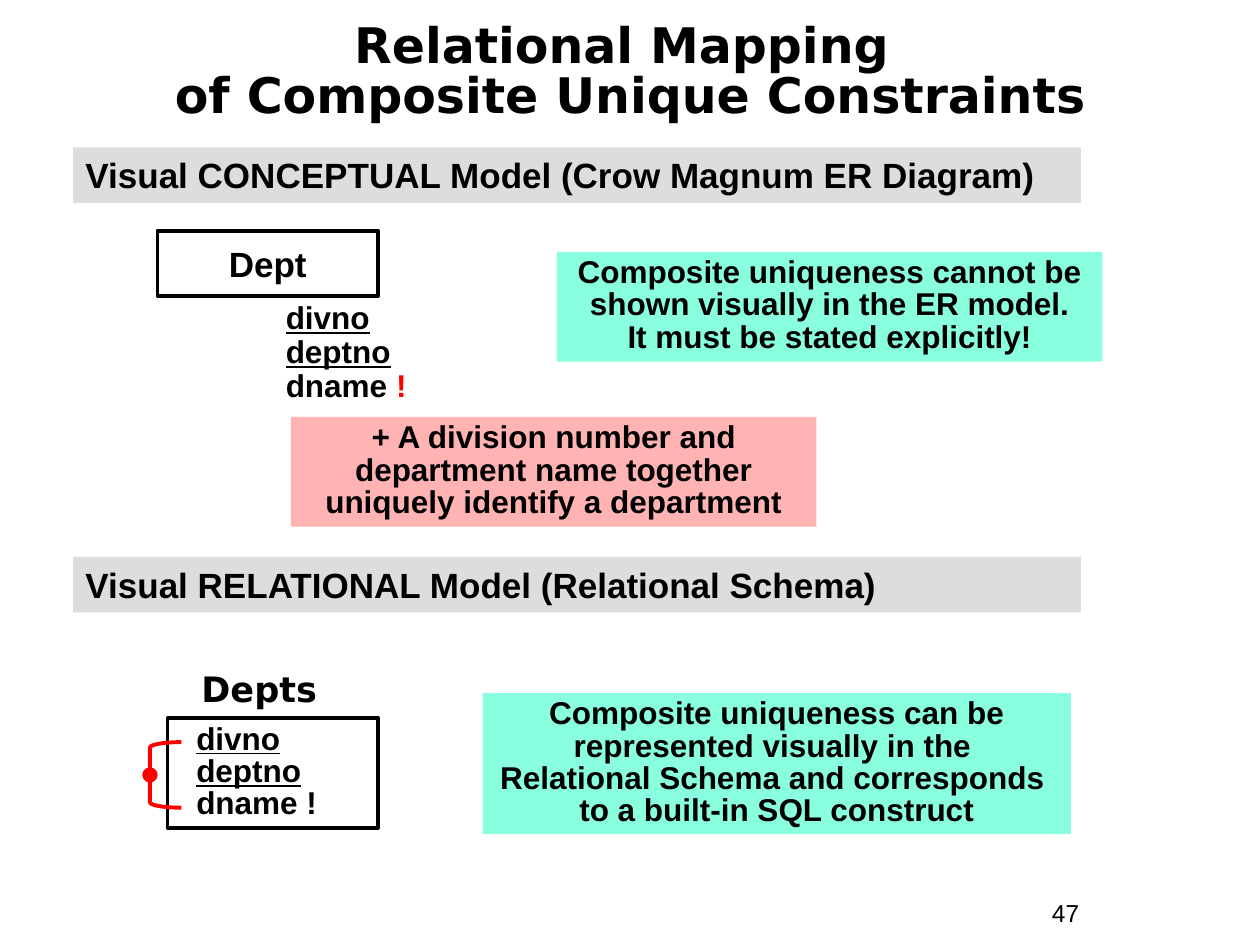
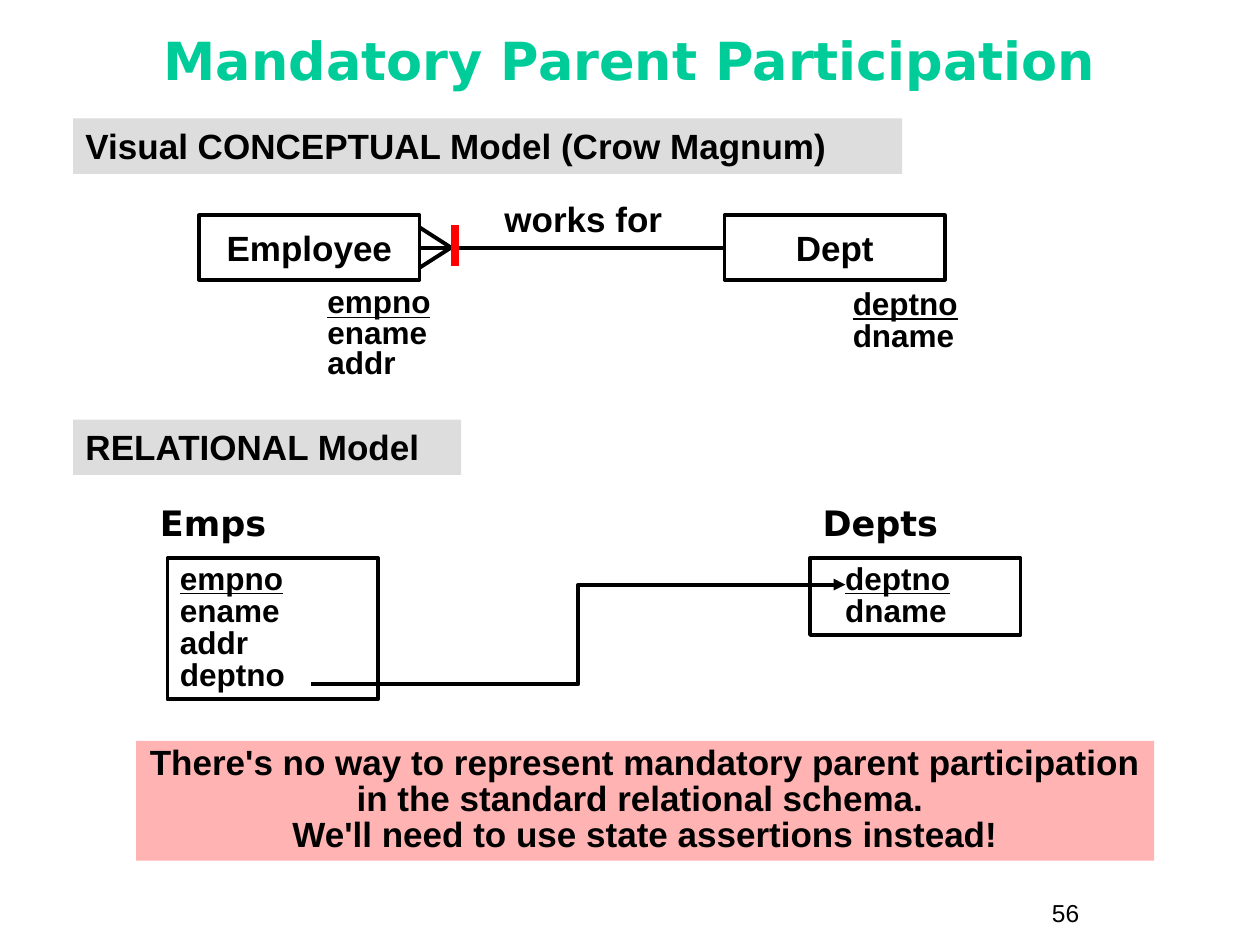
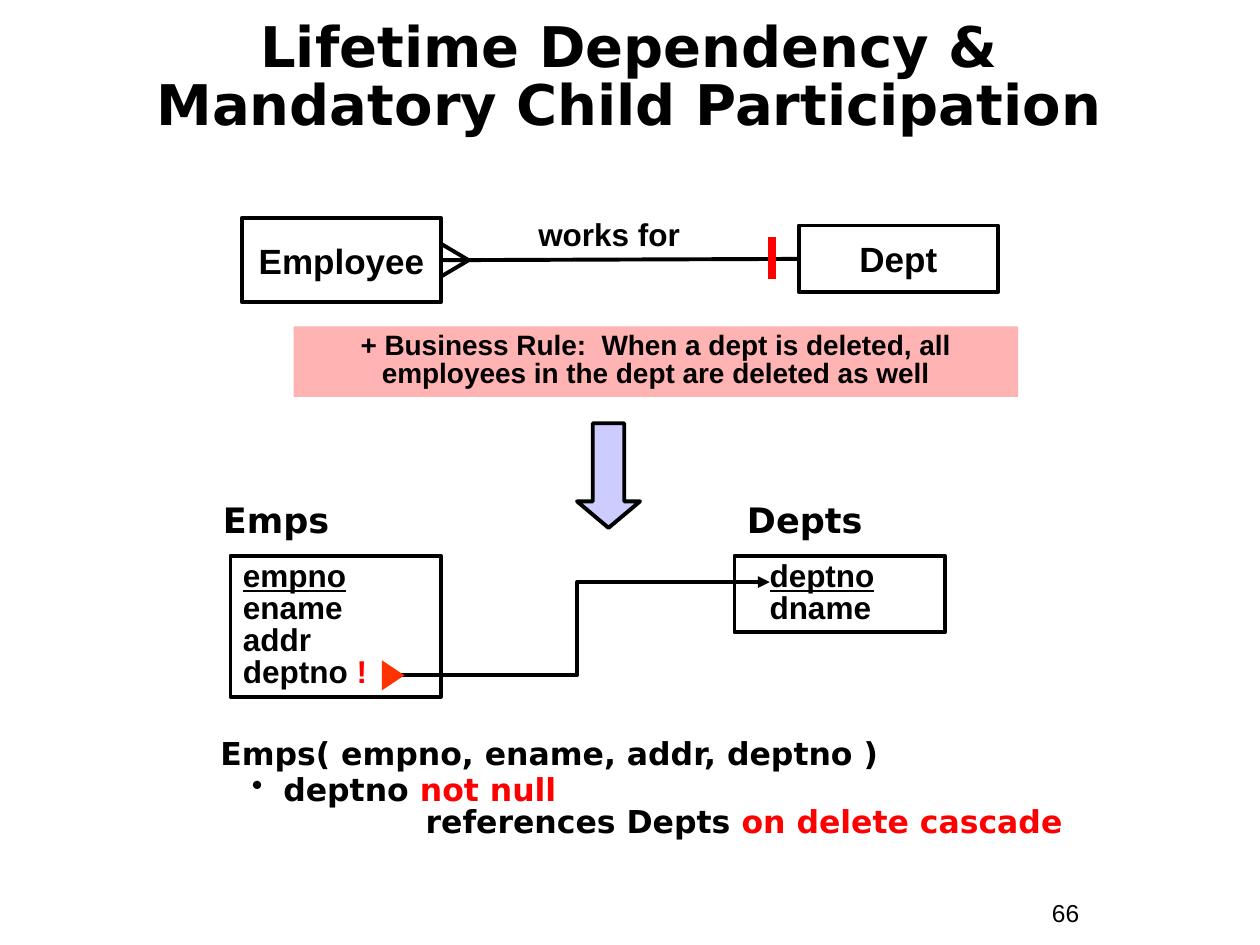
from lxml import etree
from pptx import Presentation
from pptx.dml.color import RGBColor
from pptx.enum.shapes import MSO_CONNECTOR as CONN, MSO_SHAPE as SHAPE
from pptx.enum.text import MSO_ANCHOR as ANCHOR, PP_ALIGN as ALIGN
from pptx.oxml.ns import qn
from pptx.util import Inches, Pt

BLACK, RED, GREEN = "000000", "FF0000", "00CC99"
GRAY, PINK, MINT = "DDDDDD", "FFB3B3", "89FFE0"
LILAC, ORANGE = "CCCCFF", "FF3300"
BODY, HEAD = "Arial", "DejaVu Sans"
LINE = 2.25
TABLE_W = 1.67


def rgb(hex_color):
    """Turn a hex string into a colour."""
    return RGBColor.from_string(hex_color)


def shape(s, box, kind=SHAPE.RECTANGLE, fill=None, line=None):
    """Add a preset shape without shadow, filled and outlined as asked."""
    sp = s.shapes.add_shape(kind, *map(Inches, box))
    sp.shadow.inherit = False
    if fill:
        sp.fill.solid()
        sp.fill.fore_color.rgb = rgb(fill)
    else:
        sp.fill.background()
    if line:
        sp.line.color.rgb = rgb(line)
        sp.line.width = Pt(LINE)
    else:
        sp.line.fill.background()
    return sp


def write(sp, lines, size, font=BODY, color=BLACK, bold=True, align=ALIGN.LEFT,
          spacing=1.0, keys=0, indent=0, anchor=ANCHOR.TOP, wrap=True):
    """Fill a shape with lines; text after a bar is red, the first keys are underlined."""
    tf = sp.text_frame
    tf.word_wrap = wrap
    tf.vertical_anchor = anchor
    for i, line in enumerate(lines):
        p = tf.paragraphs[0] if i == 0 else tf.add_paragraph()
        plain, _, red = line.partition("|")
        p.text = plain
        if red:
            p.add_run().text = red
        p.alignment = align
        p.line_spacing = spacing
        if indent:
            set_indent(p, indent)
        for r in p.runs:
            r.font.name, r.font.size, r.font.bold = font, Pt(size), bold
            r.font.underline = i < keys
            r.font.color.rgb = rgb(RED if r.text == red else color)
    return tf


def set_indent(p, left, first=0):
    """Set the left margin and first-line indent of a paragraph."""
    pPr = p._p.get_or_add_pPr()
    pPr.set("marL", str(Inches(left)))
    pPr.set("indent", str(Inches(first)))
    return pPr


def label(s, box, lines, size, **style):
    """Add a text box."""
    return write(s.shapes.add_textbox(*map(Inches, box)), lines, size, **style)


def connector(s, start, end, kind=CONN.STRAIGHT, color=BLACK, width=LINE, arrow=False):
    """Add a connector, with an arrowhead at its end if asked."""
    cx = s.shapes.add_connector(kind, *map(Inches, start + end))
    cx.line.color.rgb = rgb(color)
    cx.line.width = Pt(width)
    if arrow:
        etree.SubElement(cx.line._get_or_add_ln(), qn("a:tailEnd"), type="triangle")
    etree.SubElement(cx._element.spPr, qn("a:effectLst"))
    return cx


def new_slide(prs, title, number, box, size, color=BLACK, spacing=0.85):
    """Start a slide with its title and number."""
    s = prs.slides.add_slide(prs.slide_layouts[6])
    label(s, (8.25, 7.08, 0.92, 0.34), [str(number)], 14, bold=False)
    label(s, box, [title], size, font=HEAD, color=color, align=ALIGN.CENTER,
          spacing=spacing, anchor=ANCHOR.MIDDLE)
    return s


def band(s, y, w, text):
    """Add a gray section band."""
    write(shape(s, (0.58, y, w, 0.44), fill=GRAY), [text], 20)


def note(s, box, text, fill, size=18):
    """Add a coloured note with centred text."""
    write(shape(s, box, fill=fill), [text], size, align=ALIGN.CENTER, spacing=0.85)


def entity(s, box, name, attributes=(), spacing=0.9, gap=0.03):
    """Add an entity box with its attributes below, the first one or two being keys."""
    x, y, w, h = box
    sp = shape(s, box, line=BLACK)
    write(sp, [name], 20, align=ALIGN.CENTER, anchor=ANCHOR.MIDDLE, wrap=False)
    if attributes:
        keys = sum(a.endswith("no") for a in attributes)
        label(s, (x + 0.92, y + h + gap, 1.33, 0.3 * len(attributes)), attributes, 18,
              spacing=spacing, keys=keys)
    return sp


def works_for(s, child, parent, foot, bar_x, name_box, size):
    """Link two entities with a crow's foot, a red bar and a label."""
    x, y = child.left + child.width, child.top + child.height // 2
    x, y = x / Inches(1), y / Inches(1)
    w, h = foot
    cx = connector(s, (x + 1, y), (x, y))
    cx.begin_connect(parent, 1)
    cx.end_connect(child, 3)
    for side in (-h, h):
        connector(s, (x + w, y), (x, y + side))
    connector(s, (bar_x, y - 0.18), (bar_x, y + 0.15), color=RED, width=4.5)
    label(s, name_box, ["works for"], size, align=ALIGN.CENTER)


def schema_table(s, x, y, h, name, columns, keys=1, indent=0, name_dx=0, name_dy=0.5):
    """Add a relational table with its name above."""
    label(s, (x + name_dx, y - name_dy, 2.15, 0.44), [name], 20, font=HEAD)
    write(shape(s, (x, y, TABLE_W, h), line=BLACK), columns, 18, spacing=0.85,
          keys=keys, indent=indent)


def foreign_key_schema(s, x, y, dx, last_column, start):
    """Add Emps and Depts, dx apart, joined by a foreign key arrow."""
    schema_table(s, x, y, 1.12, "Emps", ["empno", "ename", "addr", last_column],
                 name_dx=-0.16)
    schema_table(s, x + dx, y, 0.61, "Depts", ["deptno", "dname"], indent=0.18)
    connector(s, (x + start[0], y + start[1]), (x + dx + 0.28, y + 0.21),
              kind=CONN.ELBOW, arrow=True)


def unique_bracket(s, x, y, w, h):
    """Add the red bracket and dot that mark a composite unique constraint."""
    shape(s, (x, y, w, h), SHAPE.LEFT_BRACKET, line=RED).adjustments[0] = 0.17
    d = 0.09
    shape(s, (x - d / 2, y + h / 2 - d / 2, d, d), SHAPE.OVAL, fill=RED, line=RED)


def table_definition(s, box):
    """Add the textual definition of Emps with its foreign key rule."""
    tf = label(s, box, ["Emps( empno, ename, addr, deptno )", "deptno |not null",
                        "references Depts| on delete cascade"], 18, font=HEAD, spacing=0.85)
    _, rule, action = tf.paragraphs
    rule.space_before = Pt(2.2)
    pPr = set_indent(rule, 0.5, -0.25)
    etree.SubElement(pPr, qn("a:buChar"), char="•")
    set_indent(action, 1.63)


def composite_unique(prs):
    """Build the slide on composite unique constraints."""
    s = new_slide(prs, "Relational Mapping \nof Composite Unique Constraints", 47,
                  (0.25, 0.33, 9.5, 0.5), 28)
    band(s, 1.17, 8, "Visual CONCEPTUAL Model (Crow Magnum ER Diagram)")
    entity(s, (1.25, 1.83, 1.75, 0.52), "Dept", ["divno", "deptno", "dname |!"], gap=0)
    note(s, (4.42, 2, 4.33, 0.87), "Composite uniqueness cannot be shown visually in "
         "the ER model.\nIt must be stated explicitly!", MINT)
    note(s, (2.31, 3.31, 4.17, 0.87), "+ A division number and department name together "
         "uniquely identify a department", PINK)
    band(s, 4.42, 8, "Visual RELATIONAL Model (Relational Schema)")
    schema_table(s, 1.33, 5.7, 0.87, "Depts", ["divno", "deptno", "dname !"], keys=2,
                 indent=0.13, name_dx=0.17, name_dy=0.45)
    unique_bracket(s, 1.19, 5.89, 0.25, 0.52)
    note(s, (3.83, 5.5, 4.67, 1.12), "Composite uniqueness can be represented visually in "
         "the \nRelational Schema and corresponds \nto a built-in SQL construct", MINT)


def mandatory_parent(prs):
    """Build the slide on mandatory parent participation."""
    s = new_slide(prs, "Mandatory Parent Participation", 56, (0.25, 0.18, 9.5, 0.58), 30,
                  color=GREEN, spacing=1.0)
    band(s, 0.94, 6.58, "Visual CONCEPTUAL Model (Crow Magnum)")
    dept = entity(s, (5.75, 1.71, 1.75, 0.51), "Dept", ["deptno", "dname"], 0.85)
    employee = entity(s, (1.58, 1.71, 1.75, 0.51), "Employee", ["empno", "ename", "addr"], 0.8)
    works_for(s, employee, dept, (0.25, 0.16), 3.61, (3.84, 1.52, 1.58, 0.44), 20)
    band(s, 3.33, 3.08, "RELATIONAL Model")
    foreign_key_schema(s, 1.33, 4.43, 5.1, "deptno", (1.14, 1))
    note(s, (1.08, 5.88, 8.08, 0.95), "There's no way to represent mandatory parent "
         "participation in the standard relational schema. \n"
         "We'll need to use state assertions instead!", PINK, 20)


def lifetime_dependency(prs):
    """Build the slide on lifetime dependency."""
    s = new_slide(prs, "Lifetime Dependency &\nMandatory Child Participation", 66,
                  (0.33, 0.17, 9.33, 0.92), 32)
    dept = entity(s, (6.34, 1.79, 1.58, 0.53), "Dept")
    employee = entity(s, (1.92, 1.73, 1.58, 0.67), "Employee")
    works_for(s, employee, dept, (0.22, 0.13), 6.13, (4, 1.66, 1.67, 0.4), 18)
    note(s, (2.33, 2.59, 5.75, 0.56), "+ Business Rule:  When a dept is deleted, all "
         "employees in the dept are deleted as well", PINK, 16)
    arrow = shape(s, (4.58, 3.36, 0.5, 0.83), SHAPE.DOWN_ARROW, fill=LILAC, line=BLACK)
    arrow.adjustments[1] = 0.42
    foreign_key_schema(s, 1.83, 4.41, 4, "deptno |!", (1.22, 0.95))
    cascade = shape(s, (3, 5.27, 0.24, 0.18), SHAPE.ISOSCELES_TRIANGLE, fill=ORANGE)
    cascade.rotation = 90
    table_definition(s, (1.65, 5.82, 6.92, 1.19))


def main():
    """Build and save the deck."""
    prs = Presentation()
    prs.slide_width, prs.slide_height = Inches(10), Inches(7.5)
    composite_unique(prs)
    mandatory_parent(prs)
    lifetime_dependency(prs)
    prs.save("out.pptx")


if __name__ == "__main__":
    main()
